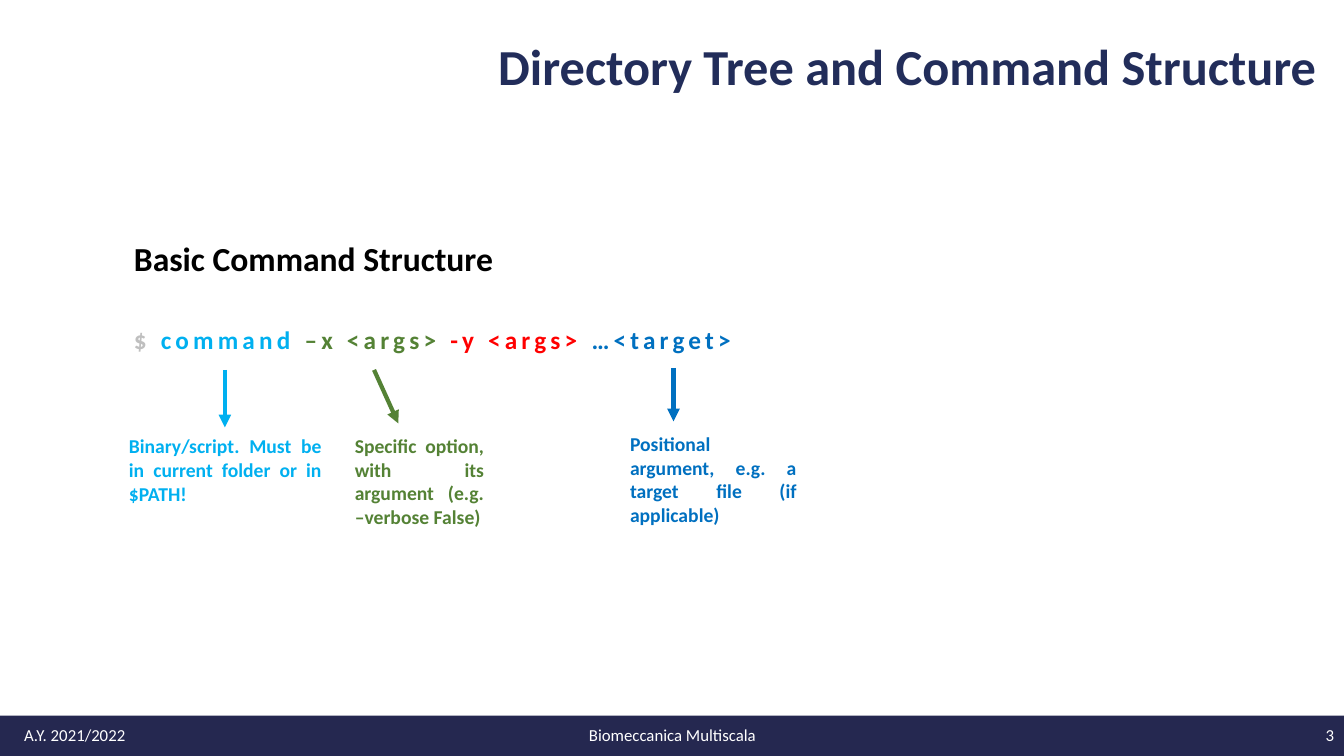
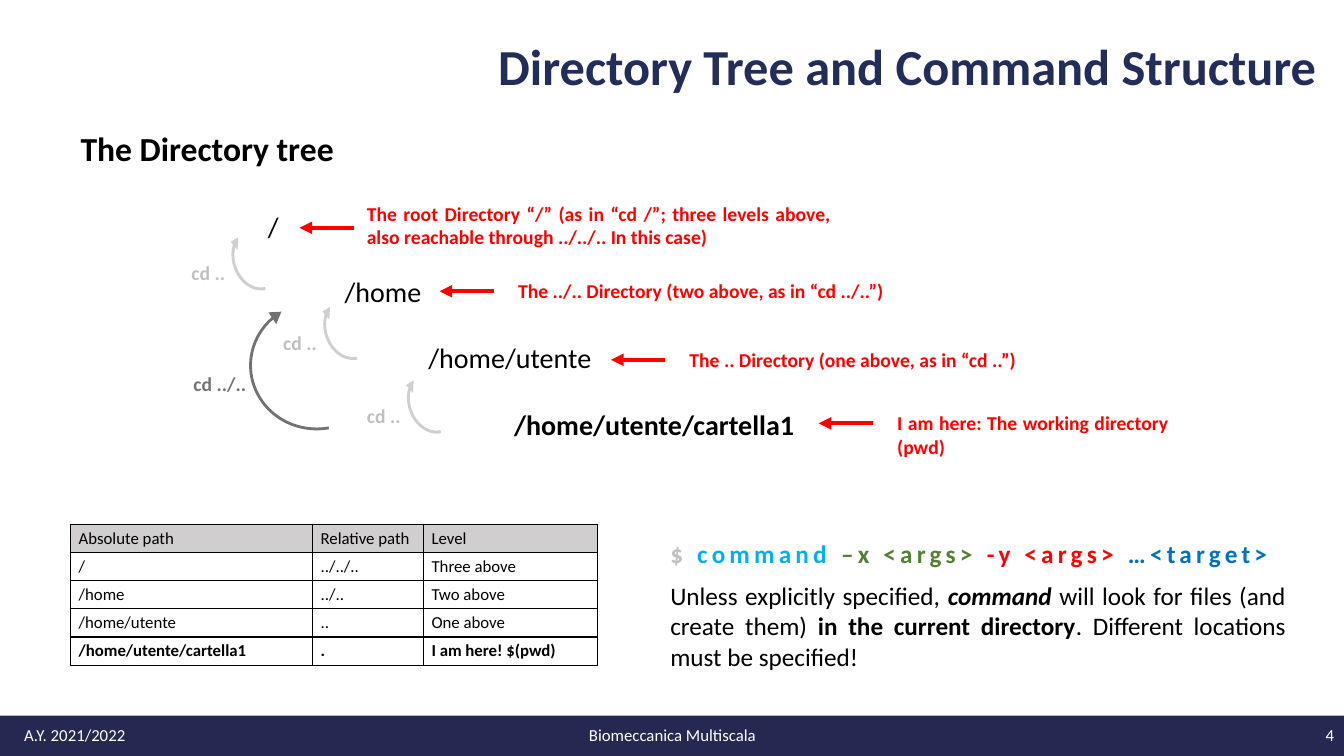
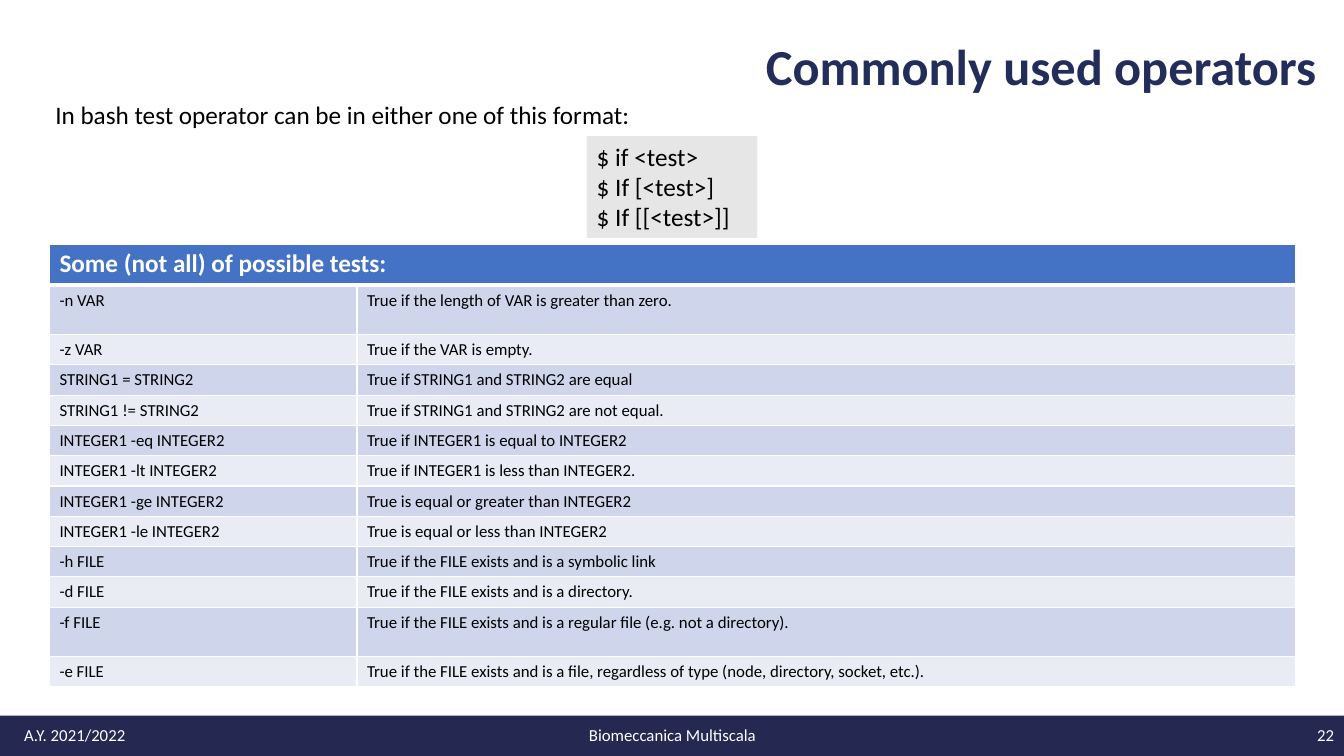
from lxml import etree
from pptx import Presentation
from pptx.dml.color import RGBColor
from pptx.enum.shapes import MSO_CONNECTOR, MSO_SHAPE
from pptx.enum.text import MSO_ANCHOR, MSO_AUTO_SIZE, PP_ALIGN
from pptx.oxml.ns import qn
from pptx.util import Inches, Pt

LEFT, CENTER, RIGHT = PP_ALIGN.LEFT, PP_ALIGN.CENTER, PP_ALIGN.RIGHT
JUSTIFY = PP_ALIGN.JUSTIFY
TOP, MIDDLE = MSO_ANCHOR.TOP, MSO_ANCHOR.MIDDLE
FIXED, GROW = MSO_AUTO_SIZE.NONE, MSO_AUTO_SIZE.SHAPE_TO_FIT_TEXT
STRAIGHT = MSO_CONNECTOR.STRAIGHT
RECTANGLE, CIRCULAR_ARROW = MSO_SHAPE.RECTANGLE, MSO_SHAPE.CIRCULAR_ARROW

FONT = "Calibri"
BLACK, WHITE = "000000", "FFFFFF"
NAVY, BAND = "222D5A", "252850"
CYAN, GREEN, RED, BLUE = "00B0F0", "548235", "FF0000", "0070C0"
SILVER, LIGHT_GRAY, DARK_GRAY = "BFBFBF", "D0CECE", "767171"
PALE_GRAY = "E7E6E6"
HEADER_BLUE, BANDS = "4472C4", ("CFD5EA", "E9EBF5")

COMMAND_PARTS = [
    ("$ ", {"color": SILVER}),
    ("command ", {"color": CYAN}),
    ("–x <args> ", {"color": GREEN}),
    ("-y <args> ", {"color": RED}),
    ("…<target>", {"color": BLUE}),
]

CALLOUTS = [
    ((2.23, 3.67), (2.23, 4.24), (1.18, 4.26, 2.11, 0.81), CYAN,
     "Binary/script. Must be in current folder or in $PATH!"),
    ((3.71, 3.67), (3.95, 4.2), (3.42, 4.26, 1.48, 1.04), GREEN,
     "Specific option, with its argument (e.g. –verbose False)"),
    ((6.68, 3.65), (6.68, 4.18), (6.15, 4.24, 1.85, 1.04), BLUE,
     "Positional argument, e.g. a target file (if applicable)"),
]

DIRECTORIES = [
    ("/", (2.56, 2.03, 0.33, 0.44), (2.97, 2.26), (3.54, 1.95, 4.8, 0.57),
     "The root Directory “/” (as in “cd /”; three levels above, "
     "also reachable through ../../.. In this case)"),
    ("/home", (3.32, 2.67, 1.1, 0.44), (4.36, 2.89), (5.04, 2.72, 4.37, 0.34),
     "The ../.. Directory (two above, as in “cd ../..”)"),
    ("/home/utente", (4.15, 3.33, 1.99, 0.44), (6.06, 3.57), (6.74, 3.4, 3.64, 0.34),
     "The .. Directory (one above, as in “cd ..”)"),
    ("/home/utente/cartella1", (5, 3.99, 3.19, 0.44), (8.12, 4.2), (8.8, 4.03, 2.89, 0.57),
     "I am here: The working directory (pwd)"),
]
POINTER_LENGTH = 0.54

STEP_UP_PLACES = [(3.94, 3.7), (3.11, 2.97), (2.2, 2.28)]
STEP_UP_ARC = (0.05, 11.42, 190.6, 110.1, 0.09)
TWO_UP_ARC = (0.02, 5.97, 190.12, 101.35, 0.05)

PATHS = [
    ("Absolute path", "Relative path", "Level"),
    ("/", "../../..", "Three above"),
    ("/home", "../..", "Two above"),
    ("/home/utente", "..", "One above"),
    ("/home/utente/cartella1", ".", "I am here! $(pwd)"),
]

TESTS = [
    ("Some (not all) of possible tests:", ""),
    ("-n VAR", "True if the length of VAR is greater than zero."),
    ("-z VAR", "True if the VAR is empty."),
    ("STRING1 = STRING2", "True if STRING1 and STRING2 are equal"),
    ("STRING1 != STRING2", "True if STRING1 and STRING2 are not equal."),
    ("INTEGER1 -eq INTEGER2", "True if INTEGER1 is equal to INTEGER2"),
    ("INTEGER1 -lt INTEGER2", "True if INTEGER1 is less than INTEGER2."),
    ("INTEGER1 -ge INTEGER2", "True is equal or greater than INTEGER2"),
    ("INTEGER1 -le INTEGER2", "True is equal or less than INTEGER2"),
    ("-h FILE", "True if the FILE exists and is a symbolic link"),
    ("-d FILE", "True if the FILE exists and is a directory."),
    ("-f FILE", "True if the FILE exists and is a regular file (e.g. not a directory)."),
    ("-e FILE", "True if the FILE exists and is a file, regardless of type "
                "(node, directory, socket, etc.)."),
]
TALL_TESTS = ("-n VAR", "-f FILE")


def rgb(color):
    """Turn a hex string into a colour."""
    return RGBColor.from_string(color)


def inches(values):
    """Turn plain numbers into lengths."""
    return [Inches(value) for value in values]


def paint(shape, color):
    """Give a shape a plain fill without outline or shadow."""
    shape.fill.solid()
    shape.fill.fore_color.rgb = rgb(color)
    shape.line.fill.background()
    shape.shadow.inherit = False


def format_run(run, size, color, bold=False, italic=False, spacing=None):
    """Set the character format of one run."""
    font = run.font
    font.name, font.size, font.bold, font.italic = FONT, Pt(size), bold, italic
    font.color.rgb = rgb(color)
    if spacing:
        run._r.get_or_add_rPr().set("spc", str(spacing * 100))


def write(frame, content, align=LEFT, line_spacing=None, size=18, color=BLACK, **style):
    """Fill a text frame from a string or from (text, overrides) runs."""
    if isinstance(content, str):
        lines = [[(line, {})] for line in content.split("\n")]
    else:
        lines = [content]
    for index, runs in enumerate(lines):
        paragraph = frame.add_paragraph() if index else frame.paragraphs[0]
        paragraph.alignment = align
        if line_spacing:
            paragraph.line_spacing = line_spacing
        for text, overrides in runs:
            run = paragraph.add_run()
            run.text = text
            format_run(run, **{"size": size, "color": color, **style, **overrides})


def add_text(slide, box, content, anchor=TOP, fit=GROW, **style):
    """Add a wrapping text box."""
    textbox = slide.shapes.add_textbox(*inches(box))
    frame = textbox.text_frame
    frame.word_wrap = True
    frame.auto_size = fit
    frame.vertical_anchor = anchor
    write(frame, content, **style)
    return textbox


def add_note(slide, box, content, color):
    """Add a small bold justified note."""
    add_text(slide, box, content, size=14, color=color, bold=True, align=JUSTIFY)


def add_command(slide, left, top):
    """Add the coloured command pattern."""
    add_text(slide, (left, top, 8.23, 0.4), COMMAND_PARTS, bold=True, spacing=3)


def add_arrow(slide, start, end, color):
    """Add a straight arrow from start to end."""
    arrow = slide.shapes.add_connector(STRAIGHT, *inches(start + end))
    arrow.line.width = Pt(3)
    arrow.line.color.rgb = rgb(color)
    etree.SubElement(arrow.line._get_or_add_ln(), qn("a:tailEnd"), type="triangle")
    etree.SubElement(arrow.element.spPr, qn("a:effectLst"))


def add_arc(slide, box, rotation, adjustments, color):
    """Add a rotated circular arrow."""
    arc = slide.shapes.add_shape(CIRCULAR_ARROW, *inches(box))
    arc.rotation = rotation
    for index, value in enumerate(adjustments):
        arc.adjustments[index] = value
    paint(arc, color)


def add_border(cell, color, bottom=1):
    """Draw the four borders of a cell."""
    properties = cell._tc.get_or_add_tcPr()
    for side, width in (("L", 1), ("R", 1), ("T", 1), ("B", bottom)):
        line = etree.SubElement(properties, qn(f"a:ln{side}"), w=str(Pt(width)))
        fill = etree.SubElement(line, qn("a:solidFill"))
        etree.SubElement(fill, qn("a:srgbClr"), val=color)


def fill_cell(cell, text, fill, border, bottom=1, **style):
    """Set the borders, fill and text of a cell."""
    add_border(cell, border, bottom)
    if fill:
        cell.fill.solid()
        cell.fill.fore_color.rgb = rgb(fill)
    else:
        cell.fill.background()
    if text:
        write(cell.text_frame, text, **style)


def add_grid(slide, left, top, widths, heights):
    """Add an empty table with the given columns and rows."""
    box = inches((left, top, sum(widths), sum(heights)))
    table = slide.shapes.add_table(len(heights), len(widths), *box).table
    for column, width in zip(table.columns, widths):
        column.width = Inches(width)
    for row, height in zip(table.rows, heights):
        row.height = Inches(height)
    return table


def add_paths_table(slide):
    """Add the table of absolute and relative paths."""
    table = add_grid(slide, 0.7, 5.2, (2.4, 1.1, 1.73), [0.28] * len(PATHS))
    for row, texts in enumerate(PATHS):
        for column, text in enumerate(texts):
            cell = table.cell(row, column)
            cell.margin_left = cell.margin_right = Inches(0.08)
            cell.margin_top = cell.margin_bottom = Inches(0.04)
            fill_cell(cell, text, None if row else LIGHT_GRAY, BLACK,
                      size=12, bold=row == len(PATHS) - 1)


def add_tests_table(slide):
    """Add the banded table of test operators."""
    heights = [0.41] + [0.49 if test in TALL_TESTS else 0.3 for test, _ in TESTS[1:]]
    table = add_grid(slide, 0.49, 2.42, (3.05, 9.31), heights)
    table.cell(0, 0).merge(table.cell(0, 1))
    for row, texts in enumerate(TESTS):
        for column, text in enumerate(texts):
            cell = table.cell(row, column)
            if row:
                fill_cell(cell, text, BANDS[(row - 1) % 2], WHITE, size=12)
            else:
                fill_cell(cell, text, HEADER_BLUE, WHITE, bottom=3,
                          size=18, color=WHITE, bold=True)


def set_up_layout(layout, slide):
    """Place the title and the footer band on the shared layout."""
    title = layout.placeholders[0]
    title.left, title.top, title.width, title.height = inches((3.14, 0.35, 10.02, 0.67))
    band = slide.shapes.add_shape(RECTANGLE, *inches((0, 7.1, 13.33, 0.4)))
    paint(band, BAND)
    layout.shapes.element.append(band.element)


def start_slide(slide, title, number):
    """Write the title and the footer of a slide."""
    frame = slide.shapes.title.text_frame
    frame.auto_size = FIXED
    frame.vertical_anchor = MIDDLE
    write(frame, title, align=RIGHT, line_spacing=0.9, size=36, color=NAVY, bold=True)
    for left, width, text, align in (
        (4.42, 4.5, "Biomeccanica Multiscala", CENTER),
        (10.33, 3, str(number), RIGHT),
        (0.14, 3, "A.Y. 2021/2022", LEFT),
    ):
        add_text(slide, (left, 7.09, width, 0.4), text, anchor=MIDDLE, fit=FIXED,
                 size=12, color=WHITE, align=align)


def build_command_slide(slide):
    """Explain the parts of a command."""
    start_slide(slide, "Directory Tree and Command Structure", 3)
    add_text(slide, (1.23, 2.31, 11.92, 0.5), "Basic Command Structure", size=24, bold=True)
    add_command(slide, 1.23, 3.17)
    for start, end, box, color, explanation in CALLOUTS:
        add_arrow(slide, start, end, color)
        add_note(slide, box, explanation, color)


def build_tree_slide(slide):
    """Show the directory tree and the path table."""
    start_slide(slide, "Directory Tree and Command Structure", 4)
    add_text(slide, (6.55, 5.71, 6.3, 1.01), [
        ("Unless explicitly specified, ", {}),
        ("command", {"bold": True, "italic": True}),
        (" will look for files (and create them) ", {}),
        ("in the current directory", {"bold": True}),
        (". Different locations must be specified!", {}),
    ], align=JUSTIFY)
    add_text(slide, (0.7, 1.22, 11.92, 0.5), "The Directory tree", size=24, bold=True)
    add_command(slide, 6.55, 5.29)
    add_paths_table(slide)
    for left, top in STEP_UP_PLACES:
        add_arc(slide, (left, top, 0.71, 0.58), 251.7, STEP_UP_ARC, LIGHT_GRAY)
        add_note(slide, (left - 0.4, top + 0.26, 0.58, 0.34), "cd ..", SILVER)
    add_arc(slide, (2.44, 2.9, 1.4, 1.45), 270, TWO_UP_ARC, DARK_GRAY)
    add_note(slide, (1.82, 3.64, 1.01, 0.34), "cd ../..", DARK_GRAY)
    working_directory = DIRECTORIES[-1][0]
    for directory, box, (tip, level), note_box, note in DIRECTORIES:
        add_text(slide, box, directory, size=20, align=JUSTIFY,
                 bold=directory == working_directory)
        add_arrow(slide, (tip + POINTER_LENGTH, level), (tip, level), RED)
        add_note(slide, note_box, note, RED)


def build_operators_slide(slide):
    """List the test operators."""
    start_slide(slide, "Commonly used operators", 22)
    add_text(slide, (0.45, 0.94, 5.92, 0.4),
             "In bash test operator can be in either one of this format:")
    add_tests_table(slide)
    formats = add_text(slide, (5.82, 1.35, 1.69, 1.01),
                       "$ if <test>\n$ If [<test>]\n$ If [[<test>]]")
    formats.fill.solid()
    formats.fill.fore_color.rgb = rgb(PALE_GRAY)


def main():
    """Build and save the presentation."""
    presentation = Presentation()
    presentation.slide_width, presentation.slide_height = inches((13.33, 7.5))
    layout = presentation.slide_layouts[5]
    builders = (build_command_slide, build_tree_slide, build_operators_slide)
    slides = [presentation.slides.add_slide(layout) for _ in builders]
    set_up_layout(layout, slides[0])
    for build, slide in zip(builders, slides):
        build(slide)
    presentation.save("out.pptx")


main()
